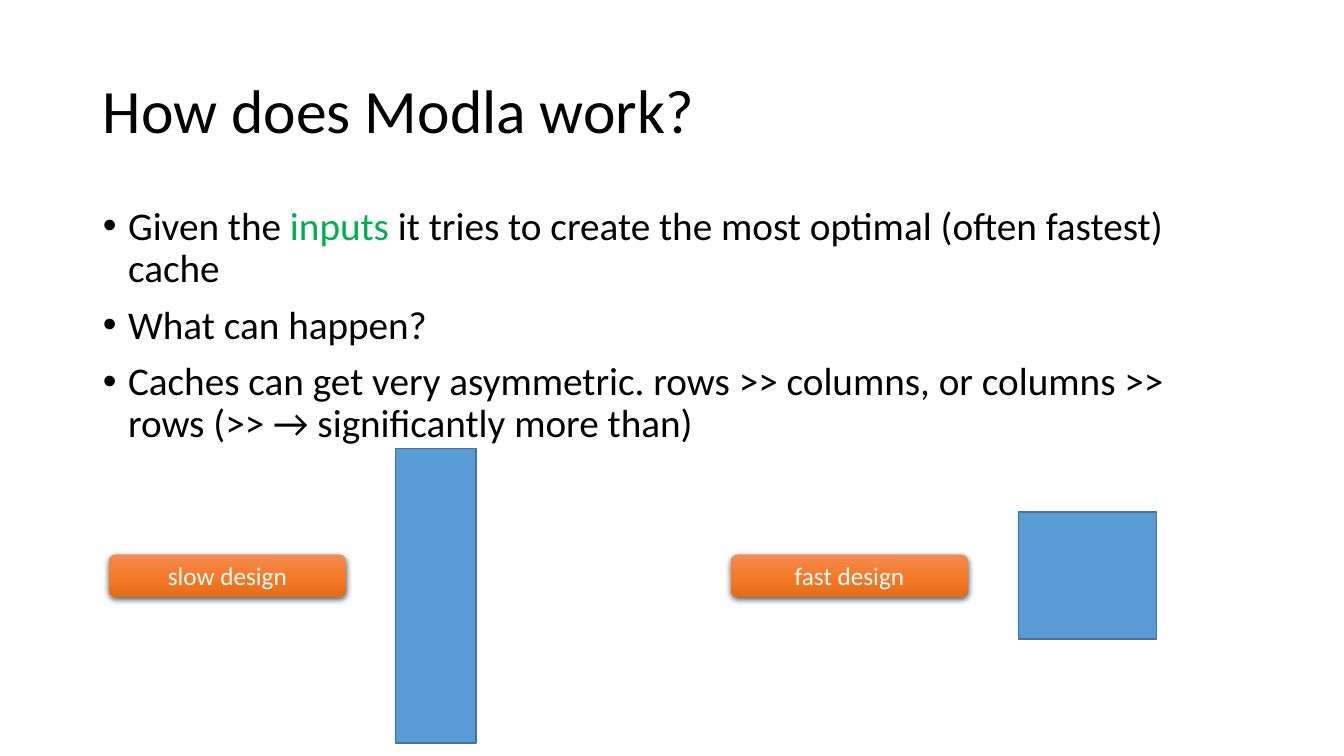
from copy import deepcopy

from lxml import etree
from pptx import Presentation
from pptx.dml.color import RGBColor
from pptx.enum.shapes import MSO_SHAPE
from pptx.enum.text import MSO_ANCHOR, MSO_AUTO_SIZE, PP_ALIGN
from pptx.oxml import parse_xml
from pptx.oxml.ns import nsdecls, qn
from pptx.util import Pt

RECT, ROUND = MSO_SHAPE.RECTANGLE, MSO_SHAPE.ROUNDED_RECTANGLE
TOP, MIDDLE = MSO_ANCHOR.TOP, MSO_ANCHOR.MIDDLE
LEFT, CENTER = PP_ALIGN.LEFT, PP_ALIGN.CENTER
NO_FIT = MSO_AUTO_SIZE.NONE

PX = 9144  # 100 px to the inch
THEME = {
    "font": "Calibri",
    "title": 44, "body": 28, "label": 18,
    "text": "000000", "accent": "00B050", "light": "FFFFFF",
    "cache": "5B9BD5", "cache_line": "43739E",
    "gradient": [(0, "F18C57"), (0.5, "F67B28"), (1, "E56C19")],
}


def place(sp, left, top, width, height):
    sp.left, sp.top, sp.width, sp.height = (v * PX for v in (left, top, width, height))


def write(p, text, size="body", color="text", align=LEFT, spacing=None, before=0):
    p.alignment, p.line_spacing, p.space_before = align, spacing, Pt(before)
    r = p.add_run()
    r.text = text
    r.font.name, r.font.size = THEME["font"], Pt(THEME[size])
    r.font.color.rgb = RGBColor.from_string(THEME[color])


prs = Presentation()
prs.slide_width, prs.slide_height = 1333 * PX, 750 * PX
s = prs.slides.add_slide(prs.slide_layouts[1])
title, body = s.placeholders

# Title and body frames
for sp, box, anchor in ((title, (92, 40, 1150, 145), MIDDLE),
                        (body, (92, 200, 1150, 476), TOP)):
    place(sp, *box)
    tf = sp.text_frame
    tf.word_wrap, tf.auto_size, tf.vertical_anchor = True, NO_FIT, anchor
write(title.text_frame.paragraphs[0], "How does Modla work?", size="title", spacing=0.9)

# Bullets
bullets = [
    [("Given the ", "text"), ("inputs", "accent"),
     (" it tries to create the most optimal (often fastest) cache", "text")],
    [("What can happen?", "text")],
    [("Caches can get very asymmetric. rows >> columns, or columns >> rows "
      "(>> → significantly more than)", "text")],
]
tf = body.text_frame
for i, runs in enumerate(bullets):
    p = tf.add_paragraph() if i else tf.paragraphs[0]
    for text, color in runs:
        write(p, text, color=color, spacing=0.9, before=10)
    pPr = p._p.get_or_add_pPr()
    pPr.set("marL", str(25 * PX))
    pPr.set("indent", str(-25 * PX))
    etree.SubElement(pPr, qn("a:buFont")).set("typeface", "Arial")
    etree.SubElement(pPr, qn("a:buChar")).set("char", "•")

# Each design: a label and the outline of its cache
designs = [("slow design", 108, (392, 445, 80, 292)),
           ("fast design", 725, (1010, 508, 137, 126))]
for text, label_left, cache_box in designs:
    cache = s.shapes.add_shape(RECT, *(v * PX for v in cache_box))
    cache.shadow.inherit = False
    cache.fill.solid()
    cache.fill.fore_color.rgb = RGBColor.from_string(THEME["cache"])
    cache.line.color.rgb = RGBColor.from_string(THEME["cache_line"])
    cache.line.width = Pt(1)

    label = s.shapes.add_shape(ROUND, *(v * PX for v in (label_left, 550, 235, 42)))
    label.line.fill.background()
    label.fill.gradient()
    label.fill.gradient_angle = 270
    stop_list = label._element.spPr.find(".//" + qn("a:gsLst"))
    stop_list.insert(1, deepcopy(stop_list[0]))
    for stop, (position, color) in zip(label.fill.gradient_stops, THEME["gradient"]):
        stop.position = position
        stop.color.rgb = RGBColor.from_string(color)

    # Soft shadow below the label
    label.shadow.inherit = False
    label._element.spPr.find(qn("a:effectLst")).append(parse_xml(
        f'<a:outerShdw {nsdecls("a")} blurRad="{Pt(4.5)}" dist="{Pt(1.5)}" '
        'dir="5400000" algn="ctr" rotWithShape="0"><a:srgbClr val="000000">'
        '<a:alpha val="63000"/></a:srgbClr></a:outerShdw>'))

    tf = label.text_frame
    tf.word_wrap, tf.vertical_anchor = True, MIDDLE
    write(tf.paragraphs[0], text, size="label", color="light", align=CENTER)

prs.save("out.pptx")
